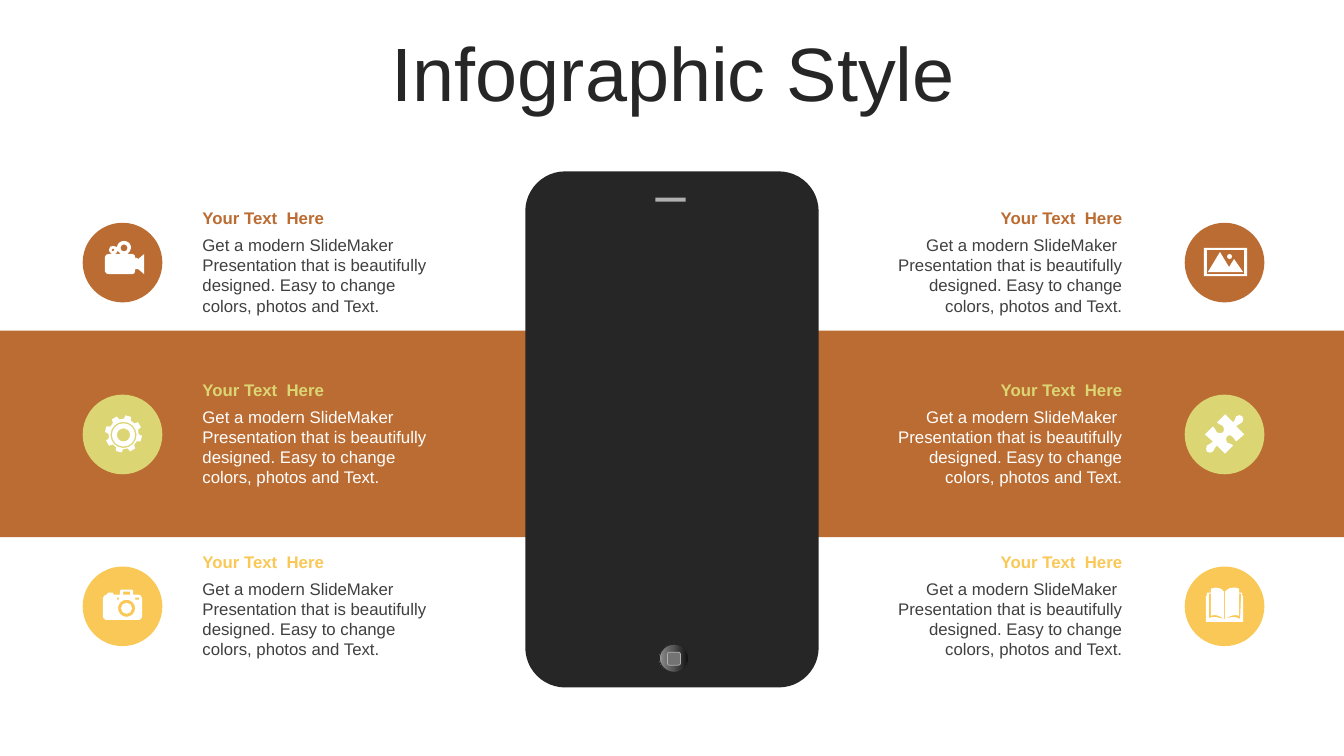
"""Build an infographic slide with a phone between two columns of icon items."""
import math
from dataclasses import dataclass

import lxml.etree
import pptx
import pptx.dml.color
import pptx.enum.shapes
import pptx.enum.text
import pptx.oxml.ns
import pptx.util

Inches = pptx.util.Inches
Pt = pptx.util.Pt
SHAPE = pptx.enum.shapes.MSO_SHAPE
ALIGN = pptx.enum.text.PP_ALIGN
ANCHOR = pptx.enum.text.MSO_ANCHOR
qn = pptx.oxml.ns.qn
Steps = list[tuple[float, ...]]


@dataclass(frozen=True)
class Theme:
    font: str = "Arial"
    title_size: int = 54
    text_size: int = 12
    rust: str = "BB6C32"
    lime: str = "DCD574"
    amber: str = "F9C856"
    dark: str = "262626"
    body: str = "404040"
    white: str = "FFFFFF"
    silver: str = "B0B0B0"
    button: str = "737373"
    sheen: tuple = ((0, "0F0F0F"), (56, "595959"), (91, "808080"), (100, "BFBFBF"))


@dataclass(frozen=True)
class Row:
    accent: str
    body: str


@dataclass(frozen=True)
class Column:
    circle_x: float
    text_x: float
    align: ALIGN
    icons: tuple


THEME = Theme()
HEADING = "Your Text  Here"
BODY = ("Get a modern SlideMaker  Presentation that is beautifully designed. "
        "Easy to change colors, photos and Text.")
ROW_TOP, ROW_STEP = 2.01, 1.705


def circle(cx: float, cy: float, r: float) -> Steps:
    """Return a circle as four cubic curves."""
    k = 0.55 * r
    return [(cx, cy - r), (cx + k, cy - r, cx + r, cy - k, cx + r, cy),
            (cx + r, cy + k, cx + k, cy + r, cx, cy + r),
            (cx - k, cy + r, cx - r, cy + k, cx - r, cy),
            (cx - r, cy - k, cx - k, cy - r, cx, cy - r)]


def box(x1: float, y1: float, x2: float, y2: float) -> Steps:
    """Return the corners of a rectangle."""
    return [(x1, y1), (x2, y1), (x2, y2), (x1, y2)]


def cog(cx: float, cy: float, teeth: int, root: float, tip: float) -> Steps:
    """Return a toothed wheel."""
    pts = []
    for i in range(teeth):
        for r, turn in ((root, -14), (tip, -9), (tip, 9), (root, 14)):
            a = math.radians(360 * i / teeth - 75 + turn)
            pts.append((cx + r * math.cos(a), cy + r * math.sin(a)))
    return pts


VIDEO = (
    circle(1.12, 2.48, 0.015), circle(1.23, 2.46, 0.035),
    [(1.23, 2.39), (1.27, 2.39, 1.3, 2.42, 1.3, 2.46), (1.3, 2.48, 1.28, 2.51, 1.26, 2.52),
     (1.31, 2.52), (1.33, 2.52, 1.34, 2.53, 1.34, 2.55), (1.34, 2.56), (1.36, 2.56),
     (1.37, 2.57), (1.43, 2.52), (1.43, 2.72), (1.37, 2.67), (1.34, 2.67), (1.34, 2.69),
     (1.34, 2.71, 1.33, 2.72, 1.31, 2.72), (1.08, 2.72), (1.06, 2.72, 1.04, 2.71, 1.04, 2.69),
     (1.04, 2.55), (1.04, 2.53, 1.06, 2.52, 1.08, 2.52), (1.11, 2.52),
     (1.09, 2.51, 1.08, 2.49, 1.08, 2.48), (1.08, 2.45, 1.1, 2.44, 1.12, 2.44),
     (1.15, 2.44, 1.17, 2.45, 1.17, 2.48), (1.17, 2.49, 1.16, 2.51, 1.14, 2.52), (1.2, 2.52),
     (1.18, 2.51, 1.16, 2.48, 1.16, 2.46), (1.16, 2.42, 1.19, 2.39, 1.23, 2.39)])
GEAR = (cog(1.225, 4.305, 8, 0.15, 0.185),
        *(circle(1.225, 4.315, r) for r in (0.13, 0.115, 0.065)))
CAMERA = (
    circle(1.255, 6.035, 0.085), circle(1.255, 6.035, 0.055),
    box(1.16, 5.93, 1.18, 5.95), box(1.34, 5.93, 1.38, 5.95), box(1.22, 5.87, 1.29, 5.9),
    [(1.2, 5.85), (1.31, 5.85), (1.32, 5.86), (1.32, 5.9), (1.38, 5.9),
     (1.39, 5.9, 1.41, 5.92, 1.41, 5.94), (1.41, 6.12), (1.41, 6.13, 1.39, 6.15, 1.38, 6.15),
     (1.05, 6.15), (1.04, 6.15, 1.02, 6.13, 1.02, 6.12), (1.02, 5.94),
     (1.02, 5.92, 1.04, 5.9, 1.05, 5.9), (1.06, 5.9), (1.07, 5.88), (1.12, 5.88),
     (1.13, 5.9), (1.19, 5.9), (1.19, 5.86)])
PHOTO = (
    box(11.94, 2.46, 12.37, 2.74), box(11.97, 2.48, 12.34, 2.72), circle(12.195, 2.545, 0.025),
    [(12.1, 2.5), (12.19, 2.65), (12.24, 2.57), (12.33, 2.7), (11.98, 2.7)])
PUZZLE = (
    [(12.32, 4.13), (12.33, 4.15, 12.34, 4.17, 12.32, 4.19),
     (12.31, 4.21, 12.28, 4.2, 12.26, 4.23), (12.34, 4.31), (12.26, 4.38),
     (12.23, 4.36, 12.25, 4.34, 12.22, 4.33), (12.21, 4.31, 12.18, 4.31, 12.17, 4.33),
     (12.16, 4.34, 12.15, 4.37, 12.17, 4.39), (12.19, 4.41, 12.2, 4.39, 12.23, 4.42),
     (12.15, 4.5), (12.07, 4.42), (12.04, 4.45, 12.05, 4.45, 12.03, 4.48),
     (12.01, 4.5, 11.99, 4.49, 11.97, 4.48), (11.96, 4.47, 11.96, 4.44, 11.97, 4.42),
     (11.99, 4.4, 12.01, 4.41, 12.03, 4.38), (11.95, 4.31), (12.03, 4.23),
     (12.06, 4.25, 12.05, 4.27, 12.07, 4.29), (12.09, 4.3, 12.12, 4.3, 12.13, 4.29),
     (12.14, 4.27, 12.15, 4.25, 12.13, 4.23), (12.1, 4.2, 12.09, 4.22, 12.07, 4.19),
     (12.15, 4.11), (12.23, 4.19), (12.26, 4.17, 12.24, 4.16, 12.26, 4.13),
     (12.28, 4.11, 12.31, 4.12, 12.32, 4.13)],)
BOOK = (
    [(12.14, 6.14), (12.15, 6.14), (12.21, 6.12, 12.24, 6.11, 12.3, 6.14), (12.31, 5.89),
     (12.29, 5.89), (12.29, 6.11), (12.25, 6.09, 12.2, 6.11, 12.15, 6.14), (12.15, 5.87),
     (12.18, 5.84, 12.2, 5.83, 12.24, 5.83), (12.25, 5.83, 12.27, 5.83, 12.29, 5.84),
     (12.29, 5.88), (12.32, 5.88), (12.32, 5.91), (12.33, 5.91), (12.33, 6.17),
     (11.96, 6.17), (11.96, 5.91), (11.97, 5.91), (11.97, 5.88), (12.01, 5.88),
     (12.01, 5.84), (12.03, 5.83, 12.04, 5.83, 12.06, 5.83),
     (12.09, 5.83, 12.12, 5.84, 12.14, 5.87), (12.14, 6.14),
     (12.1, 6.11, 12.05, 6.09, 12.01, 6.11), (12.01, 5.89), (11.99, 5.89), (11.99, 6.13),
     (12.05, 6.11, 12.09, 6.13, 12.14, 6.14)],)

ROWS = (Row(THEME.rust, THEME.body), Row(THEME.lime, THEME.white), Row(THEME.amber, THEME.body))
COLUMNS = (Column(0.82, 1.91, ALIGN.LEFT, (VIDEO, GEAR, CAMERA)),
           Column(11.75, 8.59, ALIGN.RIGHT, (PHOTO, PUZZLE, BOOK)))


def rgb(color: str) -> pptx.dml.color.RGBColor:
    """Convert a hex string to a colour."""
    return pptx.dml.color.RGBColor.from_string(color)


def paint(sp, color: str) -> None:
    """Give a shape a flat fill without line or shadow."""
    sp.shadow.inherit = False
    sp.fill.solid()
    sp.fill.fore_color.rgb = rgb(color)
    sp.line.fill.background()


def add_shape(s, kind: SHAPE, x: float, y: float, w: float, h: float, color: str):
    """Add a flat preset shape."""
    sp = s.shapes.add_shape(kind, Inches(x), Inches(y), Inches(w), Inches(h))
    paint(sp, color)
    return sp


def add_icon(s, contours: tuple) -> None:
    """Add a white freeform whose six-number steps become cubic curves."""
    paths = [[[Inches(v) for v in step] for step in c] for c in contours]
    fb = s.shapes.build_freeform(*paths[0][0], scale=1.0)
    for i, steps in enumerate(paths):
        if i:
            fb.move_to(*steps[0])
        fb.add_line_segments([step[-2:] for step in steps[1:]], close=True)
    sp = fb.convert_to_shape()
    paint(sp, THEME.white)
    lines = list(sp._element.iter(qn("a:lnTo")))
    for line, step in zip(lines, [step for steps in paths for step in steps[1:]]):
        if len(step) == 6:
            curve = lxml.etree.Element(qn("a:cubicBezTo"))
            for x, y in zip(step[::2], step[1::2]):
                lxml.etree.SubElement(curve, qn("a:pt"), x=str(x - sp.left), y=str(y - sp.top))
            line.getparent().replace(line, curve)


def add_text(s, text: str, x: float, y: float, w: float, h: float, color: str, align: ALIGN,
             size: int = THEME.text_size, bold: bool = False):
    """Add a wrapped one-paragraph text box and return its frame."""
    tf = s.shapes.add_textbox(Inches(x), Inches(y), Inches(w), Inches(h)).text_frame
    tf.word_wrap = True
    p = tf.paragraphs[0]
    p.text, p.alignment = text, align
    p.font.name, p.font.size, p.font.bold = THEME.font, Pt(size), bold
    p.font.color.rgb = rgb(color)
    return tf


def add_phone(s) -> None:
    """Draw the phone with its speaker and home button."""
    add_shape(s, SHAPE.ROUNDED_RECTANGLE, 5.21, 1.7, 2.91, 5.12, THEME.dark).adjustments[0] = 0.136
    add_shape(s, SHAPE.RECTANGLE, 6.5, 1.96, 0.3, 0.04, THEME.silver)
    sp = add_shape(s, SHAPE.OVAL, 6.54, 6.39, 0.29, 0.28, THEME.dark)
    sp.fill.gradient()
    sp.fill.gradient_angle = 180
    stops = sp._element.spPr.find(qn("a:gradFill")).find(qn("a:gsLst"))
    for gs in list(stops):
        stops.remove(gs)
    for pos, color in THEME.sheen:
        gs = lxml.etree.SubElement(stops, qn("a:gs"), pos=str(pos * 1000))
        lxml.etree.SubElement(gs, qn("a:srgbClr"), val=color)
    sp.line.color.rgb, sp.line.width = rgb(THEME.dark), Pt(0)
    sp = add_shape(s, SHAPE.ROUNDED_RECTANGLE, 6.62, 6.47, 0.13, 0.13, THEME.button)
    sp.line.color.rgb, sp.line.width = rgb(THEME.silver), Pt(0.5)


def main() -> None:
    """Compose and save the slide."""
    prs = pptx.Presentation()
    prs.slide_width, prs.slide_height = Inches(13.33), Inches(7.5)
    s = prs.slides.add_slide(prs.slide_layouts[6])
    add_shape(s, SHAPE.RECTANGLE, 0, 3.28, 13.33, 2.05, THEME.rust)
    add_phone(s)
    tf = add_text(s, "Infographic Style", 0.35, 0.37, 12.66, 0.79, THEME.dark, ALIGN.CENTER,
                  THEME.title_size)
    tf.vertical_anchor = ANCHOR.MIDDLE
    tf.paragraphs[0].line_spacing = 0.9
    for col in COLUMNS:
        for i, (row, icon) in enumerate(zip(ROWS, col.icons)):
            y = ROW_TOP + i * ROW_STEP
            add_shape(s, SHAPE.OVAL, col.circle_x, y + 0.2, 0.79, 0.79, row.accent)
            add_text(s, HEADING, col.text_x, y, 2.64, 0.3, row.accent, col.align, bold=True)
            add_text(s, BODY, col.text_x, y + 0.27, 2.64, 0.91, row.body, col.align)
            add_icon(s, icon)
    prs.save("out.pptx")


if __name__ == "__main__":
    main()
